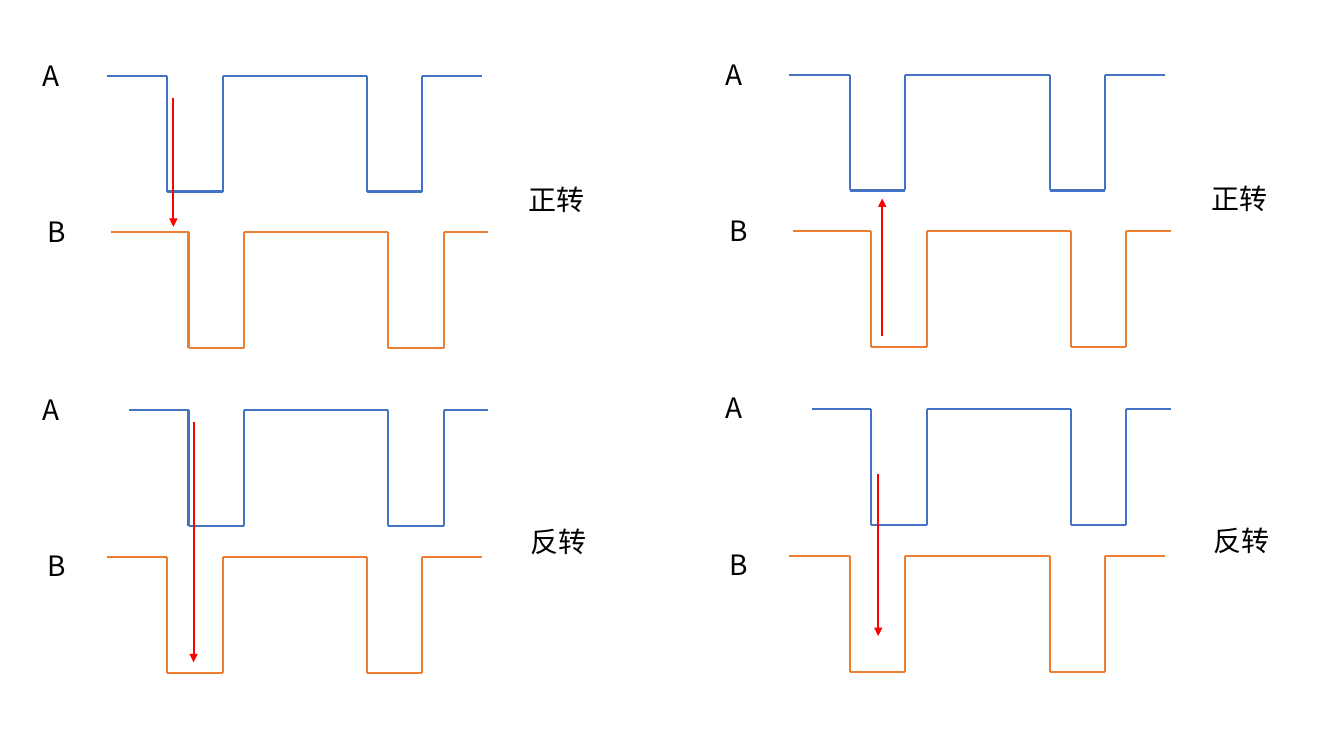
"""Build a slide of encoder phase waveforms for forward and reverse rotation."""
from itertools import pairwise

from lxml import etree
from pptx import Presentation
from pptx.dml.color import RGBColor
from pptx.enum.shapes import MSO_CONNECTOR
from pptx.enum.text import MSO_AUTO_SIZE, PP_ALIGN
from pptx.oxml.ns import qn
from pptx.util import Inches, Pt

STRAIGHT = MSO_CONNECTOR.STRAIGHT
CENTER = PP_ALIGN.CENTER
FIT_TEXT = MSO_AUTO_SIZE.SHAPE_TO_FIT_TEXT

COLORS = {"A": "4472C4", "B": "ED7D31", "arrow": "FF0000", "text": "000000"}
FONT = "Noto Sans CJK SC"

# channel, start x, first falling edge x, end x, high level y
WAVES = [
    ("A", 1.06, 1.66, 4.78, 0.75),
    ("B", 1.10, 1.87, 4.84, 2.30),
    ("A", 1.28, 1.87, 4.84, 4.07),
    ("B", 1.06, 1.66, 4.78, 5.53),
]
# text, left, top, width
LABELS = [
    ("A", 0.32, 0.53, 0.38),
    ("B", 0.37, 2.08, 0.36),
    ("A", 0.32, 3.84, 0.38),
    ("B", 0.37, 5.39, 0.36),
    ("正转", 5.14, 1.76, 0.76),
    ("反转", 5.16, 5.15, 0.76),
]
# panel offset x, panel offset y, arrows as (x, from y, to y) on the slide
PANELS = [
    (0, 0, [(1.72, 0.97, 2.25), (1.92, 4.19, 6.57)]),
    (6.77, -0.01, [(8.75, 3.33, 1.97), (8.71, 4.70, 6.31)]),
]
PULSE_WIDTH = 0.55
PERIOD = 1.98
DEPTH = 1.15
LABEL_HEIGHT = 0.44


def add_line(slide, start, end, color, arrow=False):
    """Draw a straight line, with an arrowhead at its end if asked."""
    points = [Inches(value) for value in (*start, *end)]
    connector = slide.shapes.add_connector(STRAIGHT, *points)
    connector.line.color.rgb = RGBColor.from_string(color)
    connector.line.width = Pt(1.5)
    if arrow:
        outline = connector.line._get_or_add_ln()
        etree.SubElement(outline, qn("a:tailEnd"), type="triangle")
    etree.SubElement(connector._element.spPr, qn("a:effectLst"))


def add_text(slide, text, left, top, width, size=20, color=COLORS["text"]):
    """Place a centred one-line label."""
    box = slide.shapes.add_textbox(
        Inches(left), Inches(top), Inches(width), Inches(LABEL_HEIGHT))
    frame = box.text_frame
    frame.word_wrap = False
    frame.auto_size = FIT_TEXT
    paragraph = frame.paragraphs[0]
    paragraph.alignment = CENTER
    run = paragraph.add_run()
    run.text = text
    run.font.size = Pt(size)
    run.font.color.rgb = RGBColor.from_string(color)
    run.font.name = FONT
    etree.SubElement(run.font._element, qn("a:ea"), typeface=FONT)


def add_wave(slide, start, fall, end, high, color):
    """Draw a square wave with two low pulses."""
    low = high + DEPTH
    corners = [(start, high)]
    for left in (fall, fall + PERIOD):
        right = left + PULSE_WIDTH
        corners += [(left, high), (left, low), (right, low), (right, high)]
    corners.append((end, high))
    for first, second in pairwise(corners):
        add_line(slide, first, second, color)


def main():
    """Draw both panels and save the presentation."""
    presentation = Presentation()
    presentation.slide_width = Inches(13.33)
    presentation.slide_height = Inches(7.5)
    slide = presentation.slides.add_slide(presentation.slide_layouts[6])
    for shift_x, shift_y, arrows in PANELS:
        for channel, start, fall, end, high in WAVES:
            add_wave(slide, start + shift_x, fall + shift_x, end + shift_x,
                     high + shift_y, COLORS[channel])
        for text, left, top, width in LABELS:
            add_text(slide, text, left + shift_x, top + shift_y, width)
        for x, start_y, end_y in arrows:
            add_line(slide, (x, start_y), (x, end_y), COLORS["arrow"], arrow=True)
    presentation.save("out.pptx")


if __name__ == "__main__":
    main()
